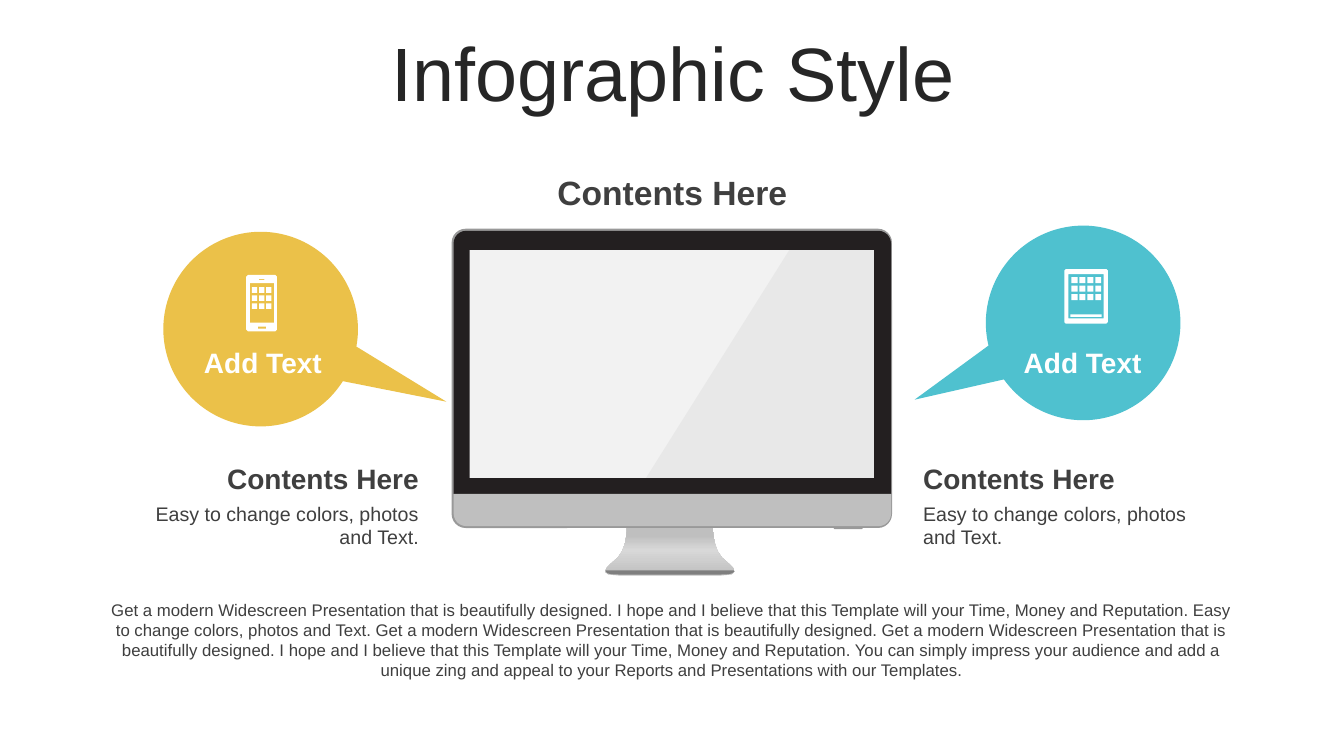
from copy import deepcopy

from pptx import Presentation
from pptx.dml.color import RGBColor
from pptx.enum.shapes import MSO_SHAPE as SHAPE
from pptx.enum.text import MSO_ANCHOR as ANCHOR, PP_ALIGN as ALIGN
from pptx.oxml.ns import qn
from pptx.util import Pt
from lxml import etree

FONT = "Arial"
INK, TITLE_INK, WHITE = "3F3F3F", "262626", "FFFFFF"
YELLOW, TEAL = "EBC149", "4FC1CF"
BEZEL, EDGE, SILVER, BASE = "231F20", "999999", "BFBFBF", "7F7F7F"

HEADING = "Contents Here"
DETAIL = "Easy to change colors, photos and Text."
FOOTER = (
    "Get a modern Widescreen Presentation that is beautifully designed. "
    "I hope and I believe that this Template will your Time, Money and Reputation. "
    "Easy to change colors, photos and Text. "
    "Get a modern Widescreen Presentation that is beautifully designed. "
    "Get a modern Widescreen Presentation that is beautifully designed. "
    "I hope and I believe that this Template will your Time, Money and Reputation. "
    "You can simply impress your audience and add a unique zing and appeal to your "
    "Reports and Presentations with our Templates."
)

# text, box (left, top, width, height), size, colour, bold, alignment
TEXTS = [
    (HEADING, (367.9, 119.5, 224.6, 36), 24, INK, True, ALIGN.CENTER),
    (FOOTER, (68.4, 424.8, 823, 65.5), 12, INK, False, ALIGN.CENTER),
]
# colour, bubble left and top, callout tip, label left, caption left, alignment
BUBBLES = [
    (TEAL, (704.2, 161.2), (-0.534, 0.788), 715, 652.3, ALIGN.LEFT),
    (YELLOW, (116.7, 165.6), (1.009, -0.179), 129.5, 99.7, ALIGN.RIGHT),
]
BUBBLE_SIZE, BUBBLE_TURN = 139, 31.4

# body, corner cut, first cell, cell pitch, columns and rows, screen and details
ICONS = [
    ((760.3, 192.2, 31, 39), 1, (765.4, 198, 4.3, 4.3), (5.65, 6.1), (4, 3),
     [(763.2, 195.8, 25.2, 31.7), (764.6, 224.6, 22.3, 1.8)]),
    ((175.9, 196.4, 22, 40.3), 1.2, (180, 205.2, 3.7, 4), (5.1, 5.75), (3, 3),
     [(178.6, 202.3, 17.3, 28.1), (184.3, 233.3, 5.8, 1.4), (185, 199.4, 3.8, 0.7)]),
]

STAND_CENTER = 478.5
# Right half of each outline: distance from the centre, height
STAND = [(30.6, 376.6), (30.6, 376.6), (30.6, 391.7), (37.1, 398.2),
         (44.3, 404.6), (54.4, 411.1), (36.4, 411.1)]
STAND_BASE = [(45.9, 407.5), (45.9, 409.7), (43, 410.4), (36.4, 410.4)]
STAND_STOPS = [(0, "BFBFBF"), (0.53, "D8D8D8"), (0.83, "BFBFBF")]
GLARE = [(563.8, 178.6), (624.2, 178.6), (624.2, 341.3), (461.5, 341.3)]
GLARE_ALPHA = 10


def rgb(color):
    return RGBColor.from_string(color)


def paint(sp, color):
    sp.shadow.inherit = False
    sp.fill.solid()
    sp.fill.fore_color.rgb = rgb(color)
    sp.line.fill.background()
    return sp


def add_preset(kind, box, color, adjust=(), turn=0):
    sp = paint(s.shapes.add_shape(kind, *map(Pt, box)), color)
    for i, value in enumerate(adjust):
        sp.adjustments[i] = value
    sp.rotation = turn
    return sp


def add_half_rounded(box, color, radius, turn=0):
    """Rectangle with two round corners: on top, or below when turned by 180."""
    return add_preset(SHAPE.ROUND_2_SAME_RECTANGLE, box, color,
                      [radius / min(box[2:]), 0], turn)


def add_outline(contours, color):
    """One shape from closed contours; a contour inside another cuts a hole."""
    fb = None
    for contour in contours:
        start, *rest = [(Pt(x), Pt(y)) for x, y in contour]
        if fb is None:
            fb = s.shapes.build_freeform(*start)
        else:
            fb.move_to(*start)
        fb.add_line_segments(rest, close=True)
    return paint(fb.convert_to_shape(), color)


def add_mirrored(half, color, steps=5):
    """Outline from a chain of cubic curves and its mirror image."""
    side = [half[0]]
    for i in range(0, len(half) - 1, 3):
        curve = half[i:i + 4]
        for n in range(1, steps + 1):
            t = n / steps
            w = ((1 - t) ** 3, 3 * t * (1 - t) ** 2, 3 * t * t * (1 - t), t ** 3)
            side.append(tuple(sum(k * q[a] for k, q in zip(w, curve)) for a in (0, 1)))
    right = [(STAND_CENTER + x, y) for x, y in side]
    left = [(STAND_CENTER - x, y) for x, y in reversed(side)]
    return add_outline([right + left], color)


def add_text(text, box, size, color, bold=False, align=ALIGN.LEFT):
    tf = s.shapes.add_textbox(*map(Pt, box)).text_frame
    tf.word_wrap = True
    p = tf.paragraphs[0]
    p.alignment = align
    r = p.add_run()
    r.text = text
    r.font.name, r.font.size, r.font.bold = FONT, Pt(size), bold
    r.font.color.rgb = rgb(color)
    return tf


def add_monitor():
    stand = add_mirrored(STAND, SILVER)
    stand.fill.gradient()
    stand.fill.gradient_angle = 90
    gs_list = stand._element.spPr.find(".//" + qn("a:gsLst"))
    gs_list.append(deepcopy(gs_list[-1]))
    for stop, (position, color) in zip(stand.fill.gradient_stops, STAND_STOPS):
        stop.position = position
        stop.color.rgb = rgb(color)

    add_preset(SHAPE.ROUNDED_RECTANGLE, (322.6, 163.4, 314.6, 213.8), EDGE, [0.047])
    add_half_rounded((595.4, 375.8, 20.9, 2.2), EDGE, 1.1, 180)
    add_half_rounded((324, 164.9, 312.5, 188), BEZEL, 9)
    add_mirrored(STAND_BASE, BASE)
    add_half_rounded((324, 352.8, 312.5, 23), SILVER, 9, 180)
    add_preset(SHAPE.RECTANGLE, (335.5, 178.6, 288.7, 162.7), "F2F2F2")
    glare = add_outline([GLARE], EDGE)
    clr = glare._element.spPr.find(".//" + qn("a:srgbClr"))
    etree.SubElement(clr, qn("a:alpha")).set("val", str(GLARE_ALPHA * 1000))


def rectangle(box):
    x, y, w, h = box
    return [(x, y), (x + w, y), (x + w, y + h), (x, y + h)]


def cut_rectangle(box, c):
    x, y, w, h = box
    r, b = x + w, y + h
    return [(x + c, y), (r - c, y), (r, y + c), (r, b - c),
            (r - c, b), (x + c, b), (x, b - c), (x, y + c)]


def add_icon(body, cut, cell, pitch, grid, details):
    x, y, w, h = cell
    cells = [(x + col * pitch[0], y + row * pitch[1], w, h)
             for row in range(grid[1]) for col in range(grid[0])]
    add_outline([cut_rectangle(body, cut)] + [rectangle(b) for b in details + cells],
                WHITE)


prs = Presentation()
prs.slide_width, prs.slide_height = Pt(960), Pt(540)
s = prs.slides.add_slide(prs.slide_layouts[6])

add_monitor()
title = add_text("Infographic Style", (25.2, 26.6, 911.5, 56.9), 54, TITLE_INK,
                 align=ALIGN.CENTER)
title.vertical_anchor = ANCHOR.MIDDLE
title.paragraphs[0].line_spacing = 0.9

for color, corner, tip, label_x, caption_x, align in BUBBLES:
    add_preset(SHAPE.OVAL_CALLOUT, (*corner, BUBBLE_SIZE, BUBBLE_SIZE), color,
               tip, BUBBLE_TURN)
    add_text("Add Text", (label_x, 243.4, 116.6, 31.7), 20, WHITE, True, ALIGN.CENTER)
    add_text(HEADING, (caption_x, 326.2, 206.6, 31.7), 20, INK, True, align)
    add_text(DETAIL, (caption_x, 354.7, 206.6, 41), 14, INK, False, align)
for text in TEXTS:
    add_text(*text)
for icon in ICONS:
    add_icon(*icon)

prs.save("out.pptx")
